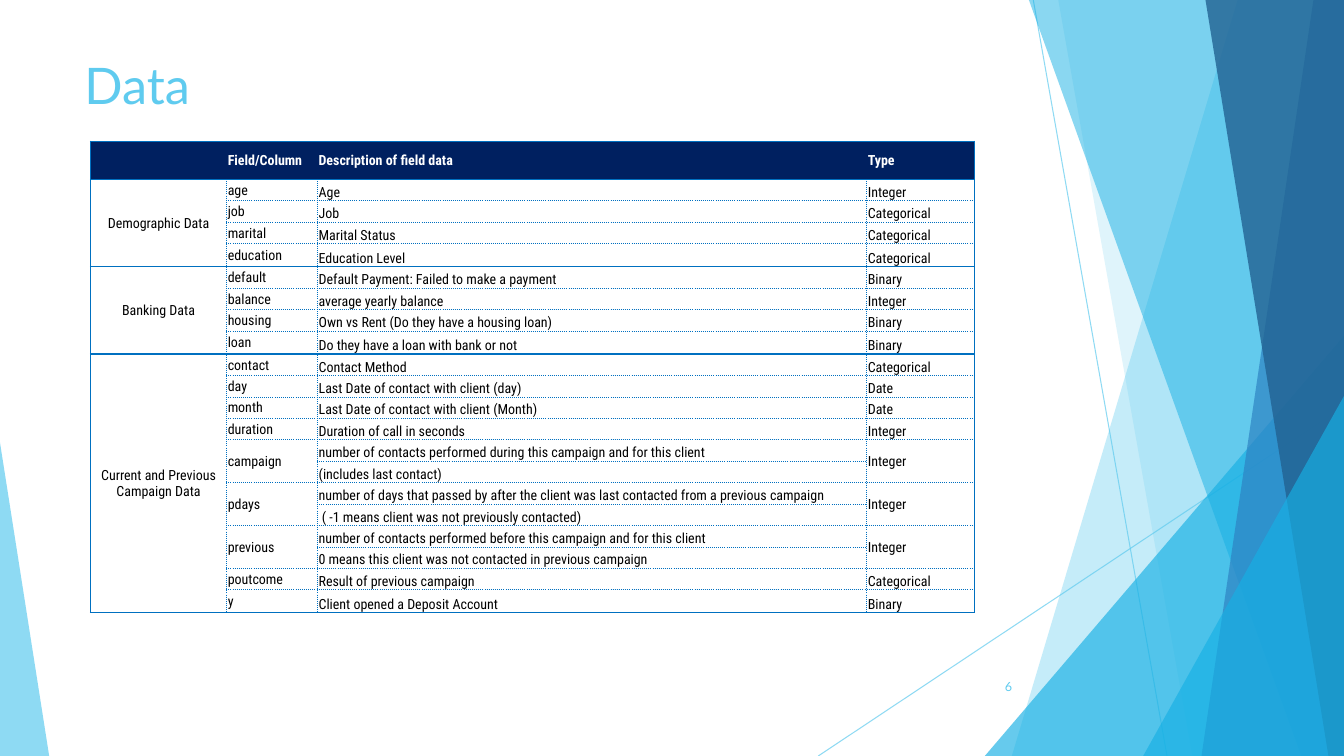
from lxml import etree
from pptx import Presentation
from pptx.dml.color import RGBColor
from pptx.enum.shapes import MSO_CONNECTOR, MSO_SHAPE
from pptx.enum.text import MSO_ANCHOR, PP_ALIGN
from pptx.oxml.ns import qn
from pptx.util import Cm, Pt

STRAIGHT = MSO_CONNECTOR.STRAIGHT
TRIANGLE = MSO_SHAPE.ISOSCELES_TRIANGLE
TOP, MIDDLE, BOTTOM = MSO_ANCHOR.TOP, MSO_ANCHOR.MIDDLE, MSO_ANCHOR.BOTTOM
LEFT, CENTER, RIGHT = PP_ALIGN.LEFT, PP_ALIGN.CENTER, PP_ALIGN.RIGHT

SKY = RGBColor(0x5F, 0xCB, 0xEF)
CYAN = RGBColor(0x17, 0xB0, 0xE4)
BLUE = RGBColor(0x2E, 0x83, 0xC3)
STEEL = RGBColor(0x22, 0x62, 0x92)
NAVY = RGBColor(0x00, 0x20, 0x60)
RULE = RGBColor(0x00, 0x70, 0xC0)
WHITE = RGBColor(0xFF, 0xFF, 0xFF)
BLACK = RGBColor(0x00, 0x00, 0x00)

SLIDE_WIDTH, SLIDE_HEIGHT = 33.87, 19.05
HEADING_FONT, TABLE_FONT = "Lato", "Roboto Condensed"
NO_GRID_STYLE = "{2D5ABB26-0587-4C30-8999-92F81FD0307C}"
SOLID, DOTTED = (1, "solid"), (0.5, "dot")

COLUMN_WIDTHS = (3.43, 2.29, 13.84, 2.72)
HEADER_HEIGHT, ROW_HEIGHT, GROUP_END_HEIGHT = 0.96, 0.54, 0.58
HEADINGS = ("", "Field/Column", "Description of field data", "Type")
GROUPS = [
    ("Demographic Data", [
        ("age", ["Age"], "Integer"),
        ("job", ["Job"], "Categorical"),
        ("marital", ["Marital Status"], "Categorical"),
        ("education", ["Education Level"], "Categorical"),
    ]),
    ("Banking Data", [
        ("default", ["Default Payment: Failed to make a payment"], "Binary"),
        ("balance", ["average yearly balance"], "Integer"),
        ("housing", ["Own vs Rent (Do they have a housing loan)"], "Binary"),
        ("loan", ["Do they have a loan with bank or not"], "Binary"),
    ]),
    ("Current and Previous Campaign Data", [
        ("contact", ["Contact Method"], "Categorical"),
        ("day", ["Last Date of contact with client (day)"], "Date"),
        ("month", ["Last Date of contact with client (Month)"], "Date"),
        ("duration", ["Duration of call in seconds"], "Integer"),
        ("campaign", ["number of contacts performed during this campaign and for this client",
                      "(includes last contact)"], "Integer"),
        ("pdays", ["number of days that passed by after the client was last contacted "
                   "from a previous campaign",
                   " ( -1 means client was not previously contacted)"], "Integer"),
        ("previous", ["number of contacts performed before this campaign and for this client",
                      "0 means this client was not contacted in previous campaign"], "Integer"),
        ("poutcome", ["Result of previous campaign"], "Categorical"),
        ("y", ["Client opened a Deposit Account"], "Binary"),
    ]),
]


def set_opacity(element, percent):
    color = next(element.iter(qn("a:srgbClr")))
    etree.SubElement(color, qn("a:alpha"), val=str(percent * 1000))


def paint(shape, color, opacity):
    shape.shadow.inherit = False
    shape.line.fill.background()
    shape.fill.solid()
    shape.fill.fore_color.rgb = color
    set_opacity(shape._element.spPr, opacity)


def add_facets(slide, left, top, width, height):
    """Translucent shards down both sides of the box."""
    right, bottom = left + width, top + height

    def ray(x1, y1, x2, y2):
        line = slide.shapes.add_connector(
            STRAIGHT, Cm(left + x1), Cm(top + y1), Cm(left + x2), Cm(top + y2))
        line.line.color.rgb = SKY
        line.line.width = Pt(0.75)
        properties = line._element.spPr
        set_opacity(properties, 70)
        etree.SubElement(properties, qn("a:effectLst"))

    def pane(upper, lower, color, opacity):
        """Fill from a slanted left edge to the right side of the box."""
        outline = slide.shapes.build_freeform(Cm(left + upper), Cm(top))
        outline.add_line_segments([(Cm(right), Cm(top)), (Cm(right), Cm(bottom)),
                                   (Cm(left + lower), Cm(bottom))])
        paint(outline.convert_to_shape(), color, opacity)

    def wedge(x, wedge_width, wedge_height, apex, color, opacity):
        shape = slide.shapes.add_shape(
            TRIANGLE, Cm(left + x), Cm(bottom - wedge_height), Cm(wedge_width), Cm(wedge_height))
        shape.adjustments[0] = apex
        paint(shape, color, opacity)

    ray(26.04, 0, 29.41, height)
    ray(width, 10.24, 20.62, height)
    pane(31.19, 25.5, SKY, 36)
    pane(26.67, 30.05, SKY, 20)
    wedge(width - 9.05, 9.05, 10.59, 1, CYAN, 66)
    pane(25.93, 32.79, CYAN, 50)
    pane(33.1, 30.28, BLUE, 70)
    pane(30.38, 33.48, STEEL, 80)
    wedge(width - 5.06, 5.06, 9.07, 1, CYAN, 66)
    wedge(0, 1.24, 7.9, 0, SKY, 70)


def add_label(slide, box, text, size, anchor, align):
    frame = slide.shapes.add_textbox(*map(Cm, box)).text_frame
    frame.word_wrap = True
    frame.vertical_anchor = anchor
    paragraph = frame.paragraphs[0]
    paragraph.text = text
    paragraph.alignment = align
    paragraph.font.name = HEADING_FONT
    paragraph.font.size = Pt(size)
    paragraph.font.color.rgb = SKY


def set_borders(cell, **edges):
    """Draw the given edges, keyed L, R, T, B; None leaves an edge bare."""
    properties = cell._tc.get_or_add_tcPr()
    drawn = [(side, edges[side]) for side in "LRTB" if edges.get(side)]
    for position, (side, (points, dash)) in enumerate(drawn):
        line = etree.Element(qn(f"a:ln{side}"), w=str(Pt(points)))
        fill = etree.SubElement(line, qn("a:solidFill"))
        etree.SubElement(fill, qn("a:srgbClr"), val=str(RULE))
        etree.SubElement(line, qn("a:prstDash"), val=dash)
        properties.insert(position, line)


def write_cell(cell, text, anchor, align=LEFT, color=BLACK, bold=False):
    cell.margin_left = cell.margin_right = cell.margin_top = Cm(0.03)
    cell.margin_bottom = 0
    cell.vertical_anchor = anchor
    paragraph = cell.text_frame.paragraphs[0]
    paragraph.text = text
    paragraph.alignment = align
    paragraph.font.name = TABLE_FONT
    paragraph.font.size = Pt(10)
    paragraph.font.bold = bold
    paragraph.font.color.rgb = color


def fill_block(table, column, first, last, text, top, bottom, anchor, align=LEFT):
    """Write one entry over rows first to last of a column, merged if needed."""
    origin = table.cell(first, column)
    if last > first:
        origin.merge(table.cell(last, column))
    write_cell(origin, text, anchor, align)
    for row in range(first, last + 1):
        cell = table.cell(row, column)
        cell.fill.background()
        set_borders(cell, L=DOTTED if column else SOLID,
                    R=SOLID if column == len(HEADINGS) - 1 else DOTTED,
                    T=top if row == first else None, B=bottom)


def add_field_table(slide, left, top):
    row_count = 1 + sum(len(lines) for _, fields in GROUPS for _, lines, _ in fields)
    frame = slide.shapes.add_table(
        row_count, len(HEADINGS), Cm(left), Cm(top), Cm(sum(COLUMN_WIDTHS)),
        Cm(HEADER_HEIGHT + (row_count - 1) * ROW_HEIGHT))
    table = frame.table
    table.first_row = table.horz_banding = False
    table._tbl.tblPr.find(qn("a:tableStyleId")).text = NO_GRID_STYLE
    for column, width in zip(table.columns, COLUMN_WIDTHS):
        column.width = Cm(width)
    for row in table.rows:
        row.height = Cm(ROW_HEIGHT)

    table.rows[0].height = Cm(HEADER_HEIGHT)
    for column, heading in enumerate(HEADINGS):
        cell = table.cell(0, column)
        write_cell(cell, heading, MIDDLE, color=WHITE, bold=True)
        cell.fill.solid()
        cell.fill.fore_color.rgb = NAVY
        set_borders(cell, T=SOLID, B=SOLID, L=None if column else SOLID,
                    R=SOLID if column == len(HEADINGS) - 1 else None)

    row = 1
    for group, fields in GROUPS:
        group_start = row
        for number, (field, lines, kind) in enumerate(fields, 1):
            end = row + len(lines) - 1
            above = SOLID if number == 1 else DOTTED
            below = SOLID if number == len(fields) else DOTTED
            fill_block(table, 1, row, end, field, above, below, MIDDLE)
            for line_row, line in enumerate(lines, row):
                fill_block(table, 2, line_row, line_row, line,
                           above if line_row == row else None,
                           below if line_row == end else None, BOTTOM)
            fill_block(table, 3, row, end, kind, above, below,
                       MIDDLE if end > row else BOTTOM)
            row = end + 1
        fill_block(table, 0, group_start, row - 1, group, SOLID, SOLID, MIDDLE, CENTER)
        table.rows[row - 1].height = Cm(GROUP_END_HEIGHT)


def main():
    deck = Presentation()
    deck.slide_width, deck.slide_height = Cm(SLIDE_WIDTH), Cm(SLIDE_HEIGHT)
    slide = deck.slides.add_slide(deck.slide_layouts[6])
    add_facets(slide, 0, 0, SLIDE_WIDTH, SLIDE_HEIGHT)
    add_label(slide, (1.88, 1.24, 23.88, 1.85), "Data", 36, TOP, LEFT)
    add_label(slide, (23.85, 16.79, 1.91, 1.02), "6", 9, MIDDLE, RIGHT)
    add_field_table(slide, 2.28, 3.56)
    deck.save("out.pptx")


if __name__ == "__main__":
    main()
